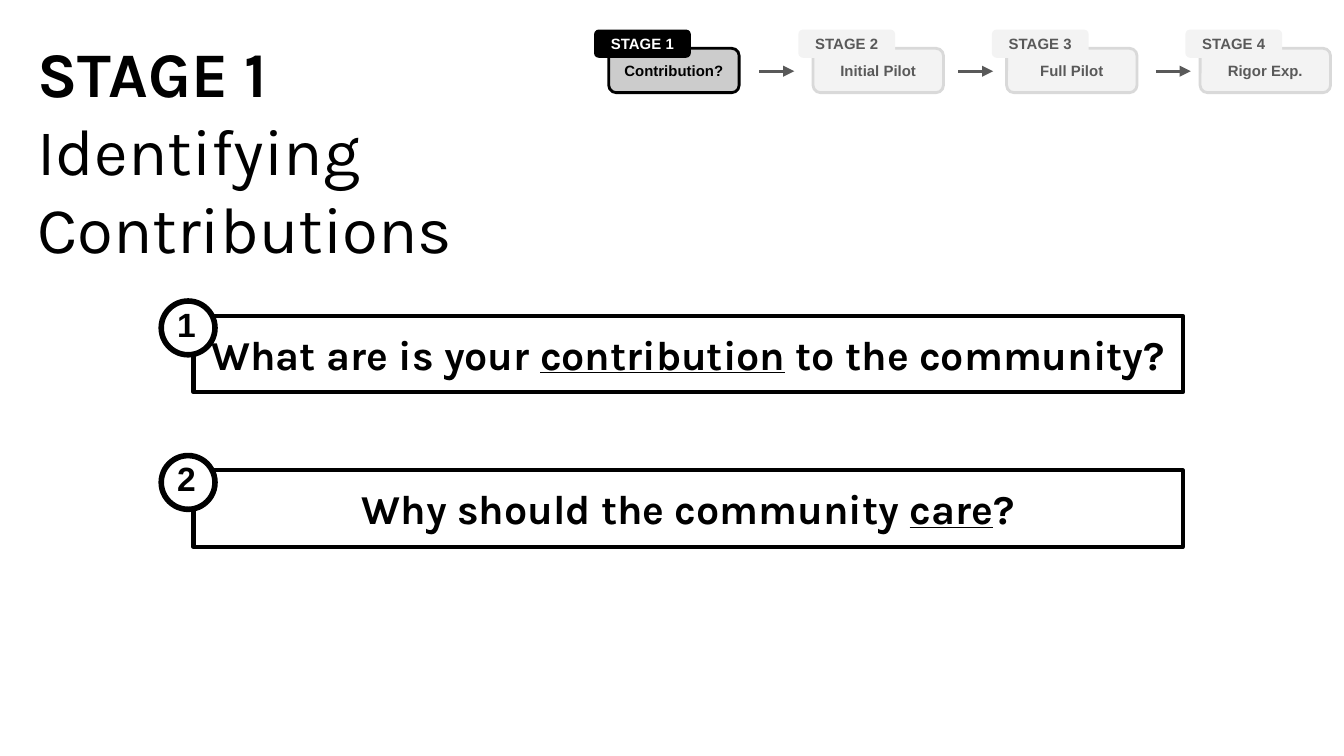
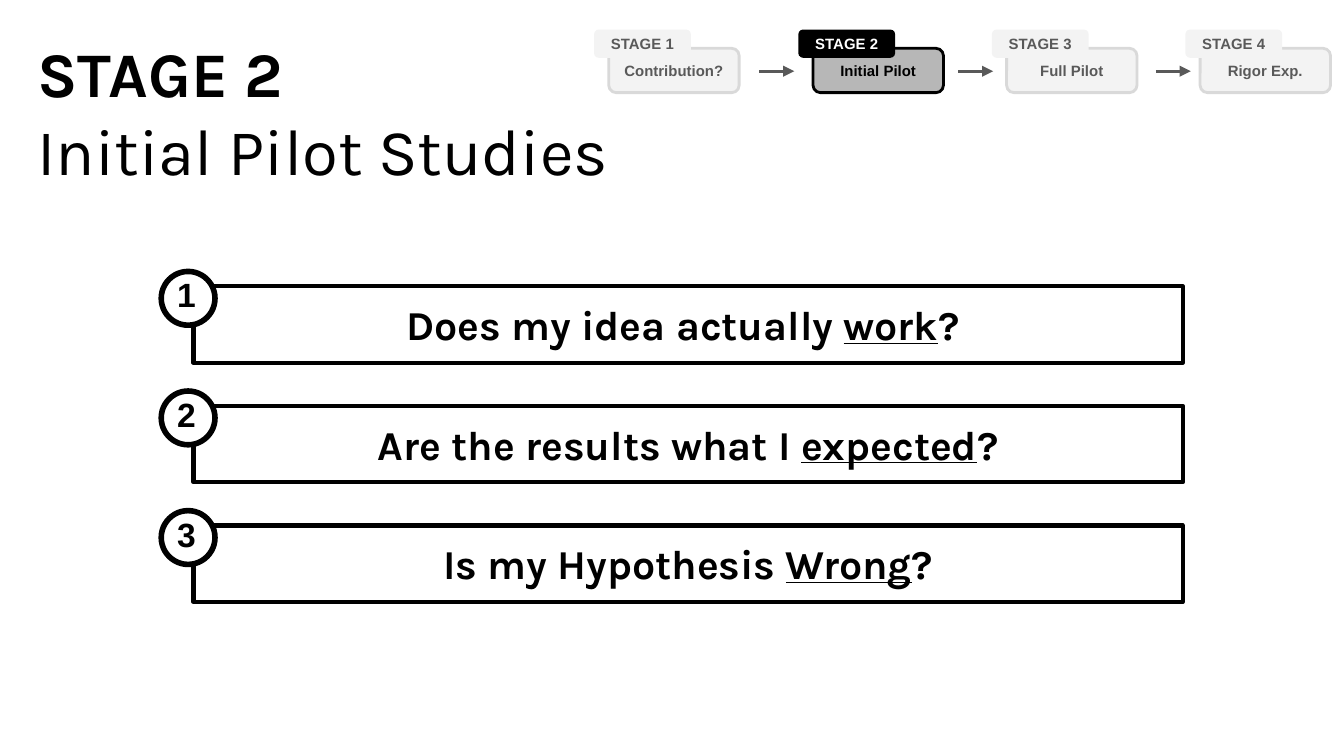
from dataclasses import dataclass

from lxml import etree
from pptx import Presentation
from pptx.dml.color import RGBColor
from pptx.enum.shapes import MSO_CONNECTOR, MSO_SHAPE
from pptx.enum.text import MSO_ANCHOR, MSO_AUTO_SIZE, PP_ALIGN
from pptx.oxml.ns import qn
from pptx.util import Inches, Pt

RECT, ROUND, OVAL = MSO_SHAPE.RECTANGLE, MSO_SHAPE.ROUNDED_RECTANGLE, MSO_SHAPE.OVAL
STRAIGHT = MSO_CONNECTOR.STRAIGHT
TOP, MIDDLE = MSO_ANCHOR.TOP, MSO_ANCHOR.MIDDLE
LEFT, CENTER = PP_ALIGN.LEFT, PP_ALIGN.CENTER
NO_FIT = MSO_AUTO_SIZE.NONE
TITLE_ONLY = 5


@dataclass(frozen=True)
class Theme:
    ink: str = "000000"
    paper: str = "FFFFFF"
    muted_text: str = "595959"
    muted_fill: str = "F3F3F3"
    muted_line: str = "D9D9D9"
    head_font: str = "Karla"
    label_font: str = "Arial"
    stage_size: int = 34
    name_size: int = 35
    question_size: int = 22
    number_size: int = 18
    label_size: int = 8


T = Theme()

STAGES = ["Contribution?", "Initial Pilot", "Full Pilot", "Rigor Exp."]
STAGE_LEFTS = [4.53, 6.05, 7.49, 8.93]
ARROW_LEFTS = [5.65, 7.13, 8.6]

# Each question is split as (before, underlined, after).
SLIDES = [
    dict(stage=1, name="Identifying Contributions", active_fill="CCCCCC",
         top=2.35, step=1.15, questions=[
             ("What are is your ", "contribution", " to the community? "),
             ("Why should the community ", "care", "?"),
         ]),
    dict(stage=2, name="Initial Pilot Studies", active_fill="B7B7B7",
         top=2.13, step=0.89, questions=[
             ("Does my idea actually ", "work", "? "),
             ("Are the results what I ", "expected", "?"),
             ("Is my Hypothesis ", "Wrong", "?"),
         ]),
]


def rgb(color):
    return RGBColor.from_string(color)


def set_font(p, name, size, color, bold=True):
    p.font.name, p.font.size, p.font.bold = name, Pt(size), bold
    p.font.color.rgb = rgb(color)


def set_frame(tf, anchor):
    tf.word_wrap = True
    tf.vertical_anchor = anchor
    tf.margin_left = tf.margin_right = Inches(0.1)
    tf.margin_top = tf.margin_bottom = Inches(0.1)


def add_box(shapes, kind, box, fill=None, line=None, width=1.5):
    sp = shapes.add_shape(kind, *map(Inches, box))
    sp.shadow.inherit = False
    if fill:
        sp.fill.solid()
        sp.fill.fore_color.rgb = rgb(fill)
    else:
        sp.fill.background()
    if line:
        sp.line.color.rgb = rgb(line)
        sp.line.width = Pt(width)
    else:
        sp.line.fill.background()
    return sp


def write_label(sp, text, color):
    set_frame(sp.text_frame, MIDDLE)
    p = sp.text_frame.paragraphs[0]
    p.text, p.alignment = text, CENTER
    set_font(p, T.label_font, T.label_size, color)


def add_stage(slide, number, name, left, active_fill):
    """Add one step of the tracker; active_fill is None for a muted step."""
    if active_fill:
        fill, line, text, tab_fill, tab_text = active_fill, T.ink, T.ink, T.ink, T.paper
    else:
        fill, line, text = T.muted_fill, T.muted_line, T.muted_text
        tab_fill, tab_text = fill, text
    shapes = slide.shapes.add_group_shape().shapes
    write_label(add_box(shapes, ROUND, (left, 0.36, 0.97, 0.33), fill, line), name, text)
    tab = add_box(shapes, ROUND, (left - 0.11, 0.22, 0.72, 0.21), tab_fill)
    write_label(tab, f"STAGE {number}", tab_text)


def add_arrow(slide, left, y=0.53, length=0.26):
    ln = slide.shapes.add_connector(
        STRAIGHT, Inches(left), Inches(y), Inches(left + length), Inches(y))
    ln.line.color.rgb = rgb(T.muted_text)
    ln.line.width = Pt(1.5)
    sp_pr = ln._element.spPr
    etree.SubElement(sp_pr.find(qn("a:ln")), qn("a:tailEnd"), type="triangle")
    etree.SubElement(sp_pr, qn("a:effectLst"))


def add_tracker(slide, current, active_fill):
    for number, (name, left) in enumerate(zip(STAGES, STAGE_LEFTS), 1):
        add_stage(slide, number, name, left, active_fill if number == current else None)
    for left in ARROW_LEFTS:
        add_arrow(slide, left)


def add_title(slide, stage, name):
    sp = slide.shapes.title
    sp.left, sp.top, sp.width, sp.height = map(Inches, (0.18, 0.15, 5.67, 1.26))
    tf = sp.text_frame
    set_frame(tf, TOP)
    tf.auto_size = NO_FIT
    tf.text = f"STAGE {stage}\n{name}"
    for p, size, bold in zip(tf.paragraphs, (T.stage_size, T.name_size), (True, False)):
        p.alignment = LEFT
        set_font(p, T.head_font, size, T.ink, bold)


def add_question(slide, number, parts, top):
    shapes = slide.shapes.add_group_shape().shapes
    sp = add_box(shapes, RECT, (1.44, top, 7.36, 0.57), line=T.ink, width=2.25)
    set_frame(sp.text_frame, TOP)
    p = sp.text_frame.paragraphs[0]
    p.alignment = CENTER
    set_font(p, T.head_font, T.question_size, T.ink)
    for text, underlined in zip(parts, (False, True, False)):
        r = p.add_run()
        r.text, r.font.underline = text, underlined

    add_box(shapes, OVAL, (1.2, top - 0.11, 0.4, 0.4), T.paper, T.ink, 3)
    tf = shapes.add_textbox(*map(Inches, (1.22, top - 0.19, 0.28, 0.51))).text_frame
    set_frame(tf, TOP)
    tf.text = str(number)
    set_font(tf.paragraphs[0], T.label_font, T.number_size, T.ink)


def main():
    prs = Presentation()
    prs.slide_width, prs.slide_height = Inches(10), Inches(10 * 9 / 16)
    for content in SLIDES:
        slide = prs.slides.add_slide(prs.slide_layouts[TITLE_ONLY])
        add_title(slide, content["stage"], content["name"])
        add_tracker(slide, content["stage"], content["active_fill"])
        for i, parts in enumerate(content["questions"]):
            add_question(slide, i + 1, parts, content["top"] + i * content["step"])
    prs.save("out.pptx")


if __name__ == "__main__":
    main()
